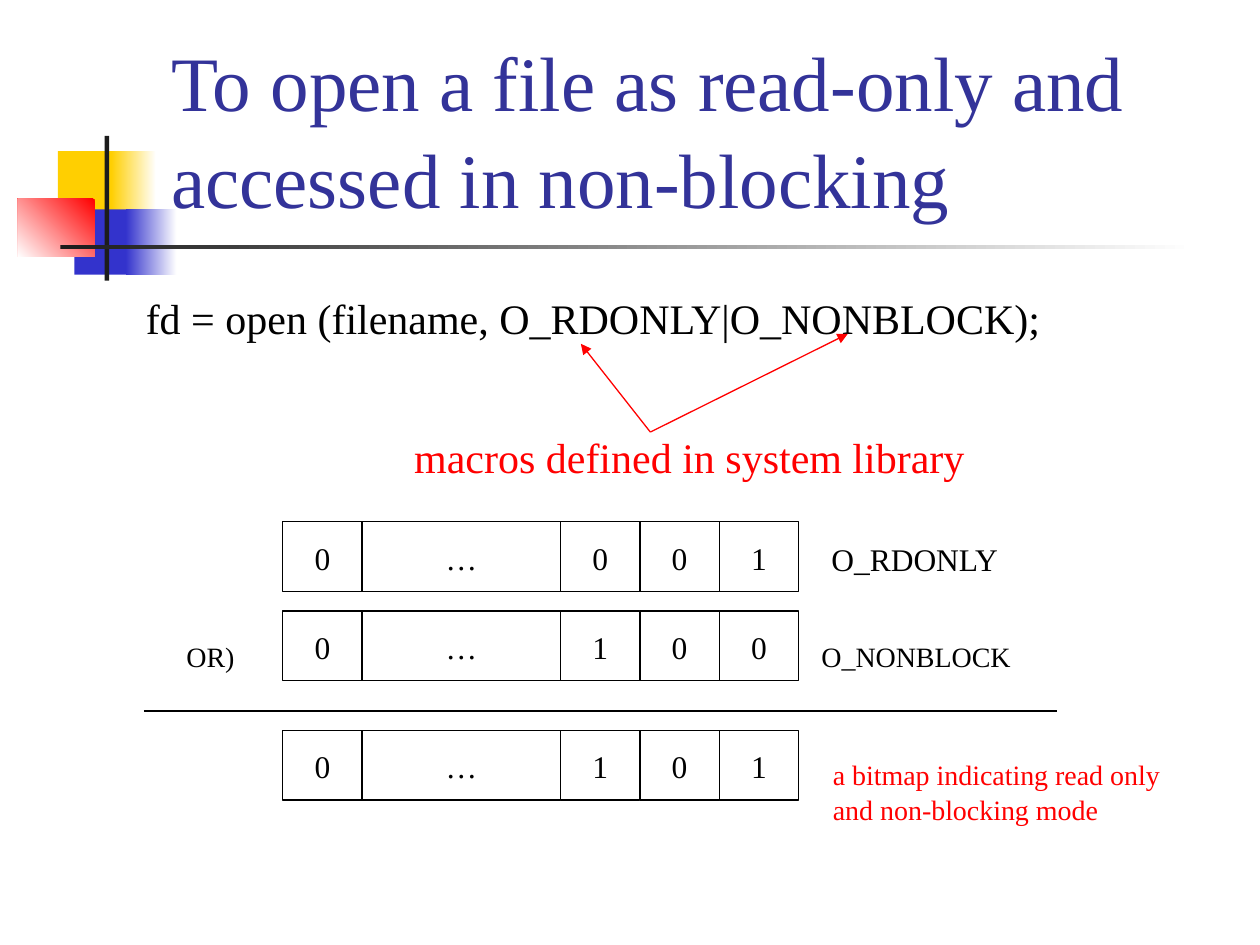
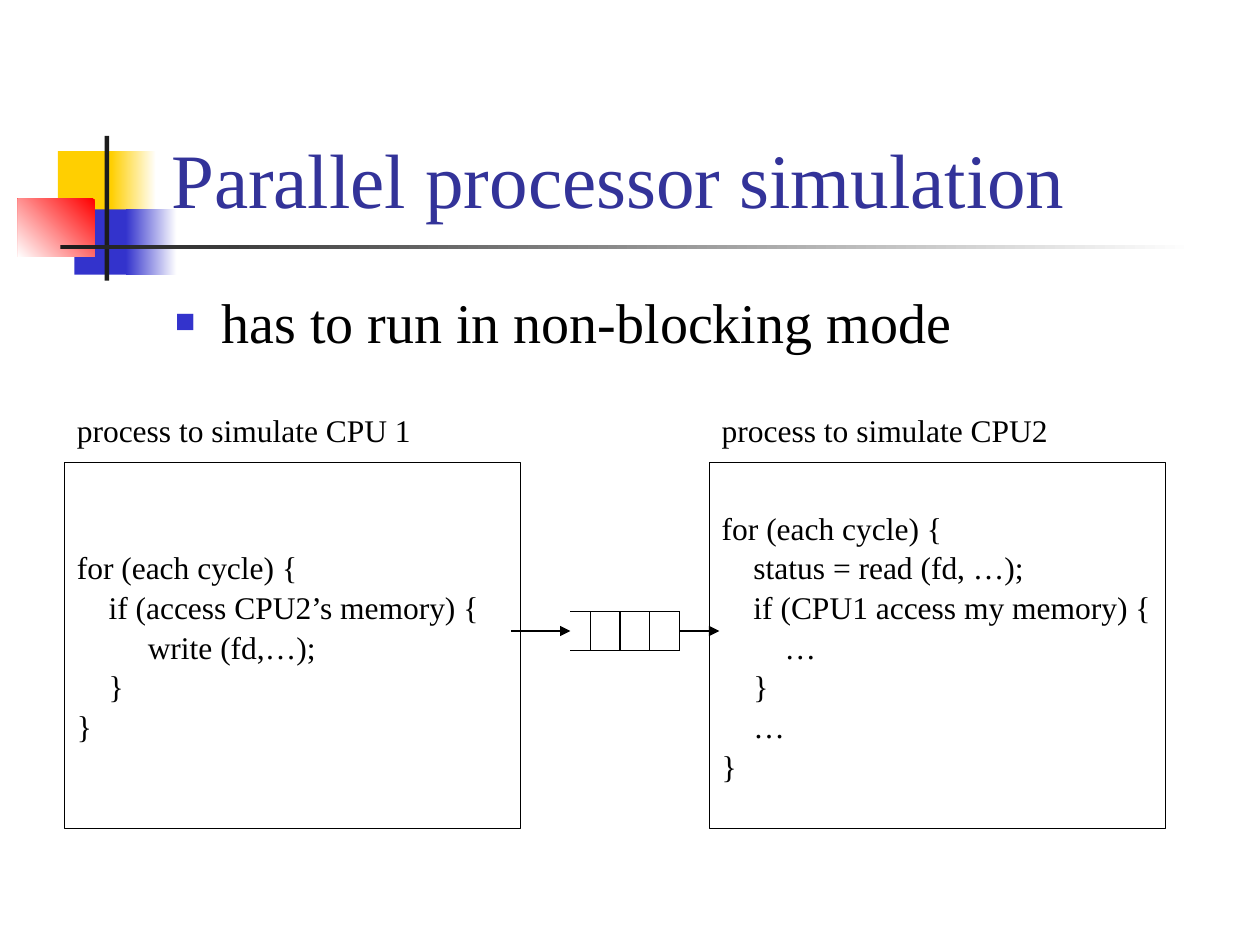
from dataclasses import dataclass

from lxml import etree
from pptx import Presentation
from pptx.dml.color import RGBColor
from pptx.enum.shapes import MSO_CONNECTOR, MSO_SHAPE
from pptx.enum.text import MSO_ANCHOR, MSO_AUTO_SIZE, PP_ALIGN
from pptx.oxml.ns import qn
from pptx.util import Cm, Pt

RECTANGLE = MSO_SHAPE.RECTANGLE
STRAIGHT = MSO_CONNECTOR.STRAIGHT
TOP, MIDDLE, BOTTOM = MSO_ANCHOR.TOP, MSO_ANCHOR.MIDDLE, MSO_ANCHOR.BOTTOM
LEFT, CENTER = PP_ALIGN.LEFT, PP_ALIGN.CENTER
NO_AUTOFIT = MSO_AUTO_SIZE.NONE
TITLE_ONLY = 5


@dataclass(frozen=True)
class Theme:
    font: str = "Times New Roman"
    title_color: str = "333399"
    ink: str = "000000"
    accent: str = "FF0000"
    white: str = "FFFFFF"
    yellow: str = "FFCF01"
    blue: str = "3333CC"
    rule: str = "1C1C1C"
    title_size: int = 44
    lead_size: int = 32
    statement_size: int = 24
    text_size: int = 18
    note_size: int = 16
    line_width: float = 0.75
    line_spacing: float = 1.05


@dataclass(frozen=True)
class Box:
    left: float
    top: float
    width: float
    height: float

    def inside(self, dx, dy, width, height):
        return Box(self.left + dx, self.top + dy, width, height)

    def lengths(self):
        return [Cm(value) for value in (self.left, self.top, self.width, self.height)]


THEME = Theme()
TITLE_BOX = Box(3.2, 0.58, 21.64, 4.06)
DECORATION_BOX = Box(0.36, 2.74, 23.72, 2.92)


def rgb(color):
    return RGBColor.from_string(color)


def write(frame, lines, size, color=THEME.ink, align=LEFT, anchor=TOP):
    frame.word_wrap = True
    frame.auto_size = NO_AUTOFIT
    frame.vertical_anchor = anchor
    for index, line in enumerate(lines):
        paragraph = frame.add_paragraph() if index else frame.paragraphs[0]
        paragraph.text = line
        paragraph.alignment = align
        paragraph.line_spacing = THEME.line_spacing
        paragraph.font.name = THEME.font
        paragraph.font.size = Pt(size)
        paragraph.font.color.rgb = rgb(color)


def add_text(slide, box, lines, size, color=THEME.ink):
    frame = slide.shapes.add_textbox(*box.lengths()).text_frame
    frame.margin_right = 0
    write(frame, lines, size, color)
    return frame


def add_rectangle(slide, box):
    rectangle = slide.shapes.add_shape(RECTANGLE, *box.lengths())
    rectangle.shadow.inherit = False
    return rectangle


def add_outlined(slide, box):
    rectangle = add_rectangle(slide, box)
    rectangle.fill.background()
    rectangle.line.color.rgb = rgb(THEME.ink)
    rectangle.line.width = Pt(THEME.line_width)
    return rectangle


def add_line(slide, start, end, color=THEME.ink, arrow=False):
    line = slide.shapes.add_connector(STRAIGHT, *map(Cm, (*start, *end)))
    line.line.color.rgb = rgb(color)
    line.line.width = Pt(THEME.line_width)
    if arrow:
        etree.SubElement(line.line._get_or_add_ln(), qn("a:tailEnd"), type="triangle")
    etree.SubElement(line.element.spPr, qn("a:effectLst"))


def add_decoration(slide, box):
    bands = [
        ((0.81, 0.31, 1.22, 1.32), THEME.yellow, None),
        ((1.88, 0.31, 0.91, 1.32), THEME.yellow, 0),
        ((1.14, 1.48, 1.17, 1.32), THEME.blue, None),
        ((2.18, 1.48, 1.02, 1.32), THEME.blue, 0),
        ((0, 1.27, 1.55, 1.17), THEME.accent, 225),
        ((1.75, 0, 0.09, box.height), THEME.rule, None),
        ((0.86, 2.2, 22.86, 0.09), THEME.rule, 0),
    ]
    for place, color, angle in bands:
        band = add_rectangle(slide, box.inside(*place))
        band.line.fill.background()
        if angle is None:
            band.fill.solid()
            band.fill.fore_color.rgb = rgb(color)
        else:
            band.fill.gradient()
            band.fill.gradient_angle = angle
            stops = band.fill.gradient_stops
            for stop, position, shade in zip(stops, (0, 1), (color, THEME.white)):
                stop.position = position
                stop.color.rgb = rgb(shade)


def add_titled_slide(deck, heading):
    slide = deck.slides.add_slide(deck.slide_layouts[TITLE_ONLY])
    add_decoration(slide, DECORATION_BOX)
    title = slide.shapes.title
    title.element.getparent().append(title.element)
    title.left, title.top, title.width, title.height = TITLE_BOX.lengths()
    write(title.text_frame, [heading], THEME.title_size, THEME.title_color, anchor=BOTTOM)
    return slide


def add_macro_note(slide, box):
    add_text(slide, box.inside(0, 1.8, box.width, 1.27),
             ["macros defined in system library"], THEME.statement_size, THEME.accent)
    source = (box.left + 5.01, box.top + 1.98)
    for dx, dy in ((3.61, 0.2), (8.99, 0)):
        add_line(slide, source, (box.left + dx, box.top + dy), THEME.accent, arrow=True)


def add_bit_row(slide, box, bits):
    bit_width = 1.6
    gap_width = box.width - bit_width * (len(bits) - 1)
    dx = 0
    for bit in bits:
        width = gap_width if bit == "…" else bit_width
        cell = add_outlined(slide, box.inside(dx, 0, width, box.height))
        write(cell.text_frame, [bit], THEME.text_size, align=CENTER, anchor=MIDDLE)
        dx += width


def add_or_operation(slide, box):
    for dy, bits in ((0, "0…001"), (1.8, "0…100"), (4.21, "0…101")):
        add_bit_row(slide, box.inside(2.8, dy, 10.4, 1.4), bits)
    labels = [
        ((13.61, 0.2, 3.91, 1.02), ["O_RDONLY"], THEME.text_size, THEME.ink),
        ((13.41, 2.21, 4.32, 0.94), ["O_NONBLOCK"], THEME.note_size, THEME.ink),
        ((0.61, 2.21, 1.5, 0.94), ["OR)"], THEME.note_size, THEME.ink),
        ((13.64, 4.59, 7.11, 1.63),
         ["a bitmap indicating read only", "and non-blocking mode"],
         THEME.note_size, THEME.accent),
    ]
    for place, lines, size, color in labels:
        add_text(slide, box.inside(*place), lines, size, color)
    sum_y = box.top + 3.81
    add_line(slide, (box.left, sum_y), (box.left + box.width, sum_y))


def add_bullet(slide, box, statement):
    frame = add_text(slide, box, [statement], THEME.lead_size)
    paragraph = frame.paragraphs[0]
    paragraph.space_before = Pt(8)
    properties = paragraph._p.get_or_add_pPr()
    properties.set("marL", str(Cm(0.94)))
    properties.set("indent", str(-Cm(0.94)))
    bullet_color = etree.SubElement(properties, qn("a:buClr"))
    etree.SubElement(bullet_color, qn("a:srgbClr"), val=THEME.blue)
    etree.SubElement(properties, qn("a:buSzPct"), val="60000")
    etree.SubElement(properties, qn("a:buFont"), typeface=THEME.font)
    etree.SubElement(properties, qn("a:buChar"), char="■")
    defaults = properties.find(qn("a:defRPr"))
    if defaults is not None:
        properties.append(defaults)


def add_process(slide, box, label, code):
    add_text(slide, box.inside(0, 0, box.width, 1.02), [label], THEME.text_size)
    body = add_outlined(slide, box.inside(0, 1.19, box.width, box.height - 1.19))
    frame = body.text_frame
    frame.margin_right = 0
    write(frame, [line for _, line in code], THEME.text_size, anchor=MIDDLE)
    for paragraph, (indent, _) in zip(frame.paragraphs, code):
        paragraph._p.get_or_add_pPr().set("marL", str(Cm(indent)))


def add_queue(slide, box):
    right, bottom = box.left + box.width, box.top + box.height
    middle = box.top + box.height / 2
    for y in (box.top, bottom):
        add_line(slide, (box.left, y), (right, y))
    for slot in range(4):
        x = right - 0.6 * slot
        add_line(slide, (x, box.top), (x, bottom))
    add_line(slide, (box.left - 1.2, middle), (box.left, middle), arrow=True)
    add_line(slide, (right, middle), (right + 0.8, middle), arrow=True)


def build_open_flags(deck):
    slide = add_titled_slide(deck, "To open a file as read-only and accessed in non-blocking")
    call = add_text(slide, Box(2.69, 5.72, 21.59, 1.6),
                    ["fd = open (filename, O_RDONLY|O_NONBLOCK);"], THEME.statement_size)
    call.paragraphs[0].space_before = Pt(6)
    add_macro_note(slide, Box(8.1, 6.73, 11.61, 3.07))
    add_or_operation(slide, Box(2.9, 10.52, 18.41, 6.22))


def build_simulation(deck):
    slide = add_titled_slide(deck, "Parallel processor simulation")
    add_bullet(slide, Box(3.28, 5.61, 21.59, 2.31), "has to run in non-blocking mode")
    add_process(slide, Box(1.3, 8.13, 9.2, 8.58), "process to simulate CPU 1", [
        (0, "for (each cycle) {"),
        (0.64, "if (access CPU2’s memory) {"),
        (1.43, "write (fd,…);"),
        (0.64, "}"),
        (0, "}"),
    ])
    add_process(slide, Box(14.3, 8.13, 9.2, 8.58), "process to simulate CPU2", [
        (0, "for (each cycle) {"),
        (0.64, "status = read (fd, …);"),
        (0.64, "if (CPU1 access my memory) {"),
        (1.27, "…"),
        (0.64, "}"),
        (0.64, "…"),
        (0, "}"),
    ])
    add_queue(slide, Box(11.5, 12.32, 2.2, 0.8))


def main():
    deck = Presentation()
    deck.slide_width, deck.slide_height = Cm(25.4), Cm(19.05)
    build_open_flags(deck)
    build_simulation(deck)
    deck.save("out.pptx")


if __name__ == "__main__":
    main()
